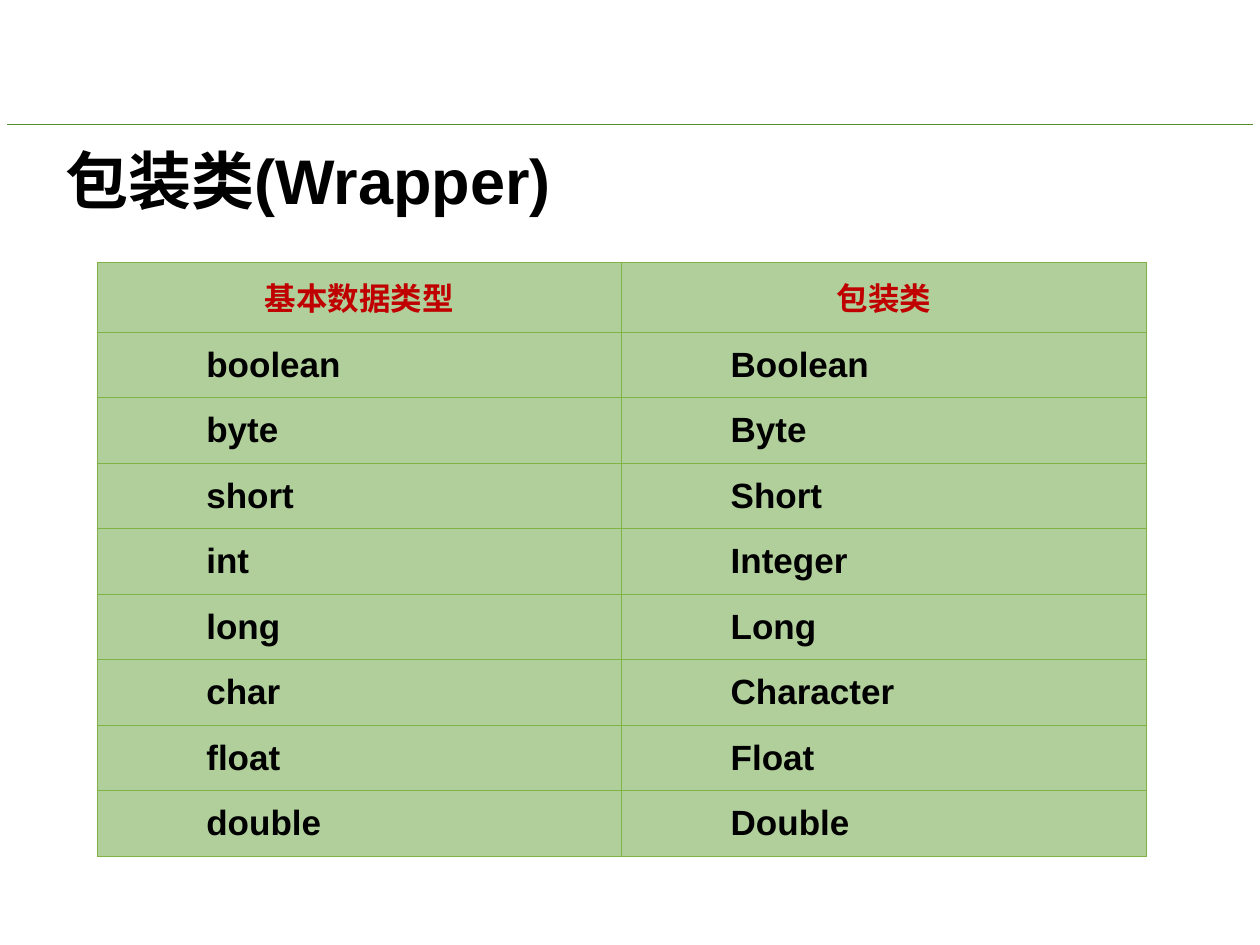
from lxml import etree
from pptx import Presentation
from pptx.dml.color import RGBColor
from pptx.enum.shapes import MSO_CONNECTOR
from pptx.enum.text import MSO_ANCHOR, PP_ALIGN
from pptx.oxml import parse_xml
from pptx.oxml.ns import nsdecls, qn
from pptx.util import Cm, Pt

LEFT, CENTER = PP_ALIGN.LEFT, PP_ALIGN.CENTER
MIDDLE = MSO_ANCHOR.MIDDLE
STRAIGHT = MSO_CONNECTOR.STRAIGHT

LATIN, HAN = "Arial", "Noto Sans CJK SC"
BLACK, RED = "000000", "C00000"
GREEN, EDGE, RULE = "B1CF9A", "7FB344", "538C2E"

HEAD = ("基本数据类型", "包装类")
TYPES = (
    ("boolean", "Boolean"),
    ("byte", "Byte"),
    ("short", "Short"),
    ("int", "Integer"),
    ("long", "Long"),
    ("char", "Character"),
    ("float", "Float"),
    ("double", "Double"),
)


def color(code):
    """Turn a hex string into a colour."""
    return RGBColor.from_string(code)


def write(frame, text, size=20, font=LATIN, ink=BLACK, align=LEFT, space=1.0):
    """Put one bold paragraph in a text frame."""
    para = frame.paragraphs[0]
    para.alignment, para.line_spacing = align, space
    run = para.add_run()
    run.text = text
    run.font.name, run.font.size, run.font.bold = font, Pt(size), True
    run.font.color.rgb = color(ink)
    east = etree.SubElement(run.font._element, qn("a:ea"))
    east.set("typeface", HAN)


def add_rule(slide):
    """Draw the thin line across the top."""
    rule = slide.shapes.add_connector(STRAIGHT, Cm(0.15), Cm(2.51), Cm(25.25), Cm(2.51))
    rule.line.color.rgb = color(RULE)
    rule.line.width = Pt(0.5)
    etree.SubElement(rule._element.spPr, qn("a:effectLst"))


def add_title(slide, text):
    """Place and fill the title."""
    title = slide.shapes.title
    title.left, title.top = Cm(1.07), Cm(2.77)
    title.width, title.height = Cm(10.8), Cm(1.88)
    frame = title.text_frame
    frame.vertical_anchor = MIDDLE
    write(frame, text, size=36, space=0.9)


def style_cell(cell):
    """Give a cell its borders, fill and anchor."""
    props = cell._tc.get_or_add_tcPr()
    for side in "LRTB":
        props.append(parse_xml(
            f'<a:ln{side} {nsdecls("a")} w="{Pt(0.5)}"><a:solidFill>'
            f'<a:srgbClr val="{EDGE}"/></a:solidFill></a:ln{side}>'
        ))
    cell.fill.solid()
    cell.fill.fore_color.rgb = color(GREEN)
    cell.vertical_anchor = MIDDLE


def add_grid(slide):
    """Build the table of types and their wrappers."""
    rows = (HEAD, *TYPES)
    shape = slide.shapes.add_table(
        len(rows), len(HEAD), Cm(1.96), Cm(5.28), Cm(21.14), Cm(11.95)
    )
    grid = shape.table
    for r, names in enumerate(rows):
        grid.rows[r].height = Cm(1.32 if r else 1.42)
        for c, name in enumerate(names):
            cell = grid.cell(r, c)
            style_cell(cell)
            if r:
                cell.margin_left = Cm(2.2)
                write(cell.text_frame, name)
            else:
                write(cell.text_frame, name, size=18, font=HAN, ink=RED, align=CENTER)


def main():
    """Build and save the slide."""
    deck = Presentation()
    deck.slide_width, deck.slide_height = Cm(25.4), Cm(19.05)
    slide = deck.slides.add_slide(deck.slide_layouts[5])
    add_rule(slide)
    add_title(slide, "包装类(Wrapper)")
    add_grid(slide)
    deck.save("out.pptx")


if __name__ == "__main__":
    main()
